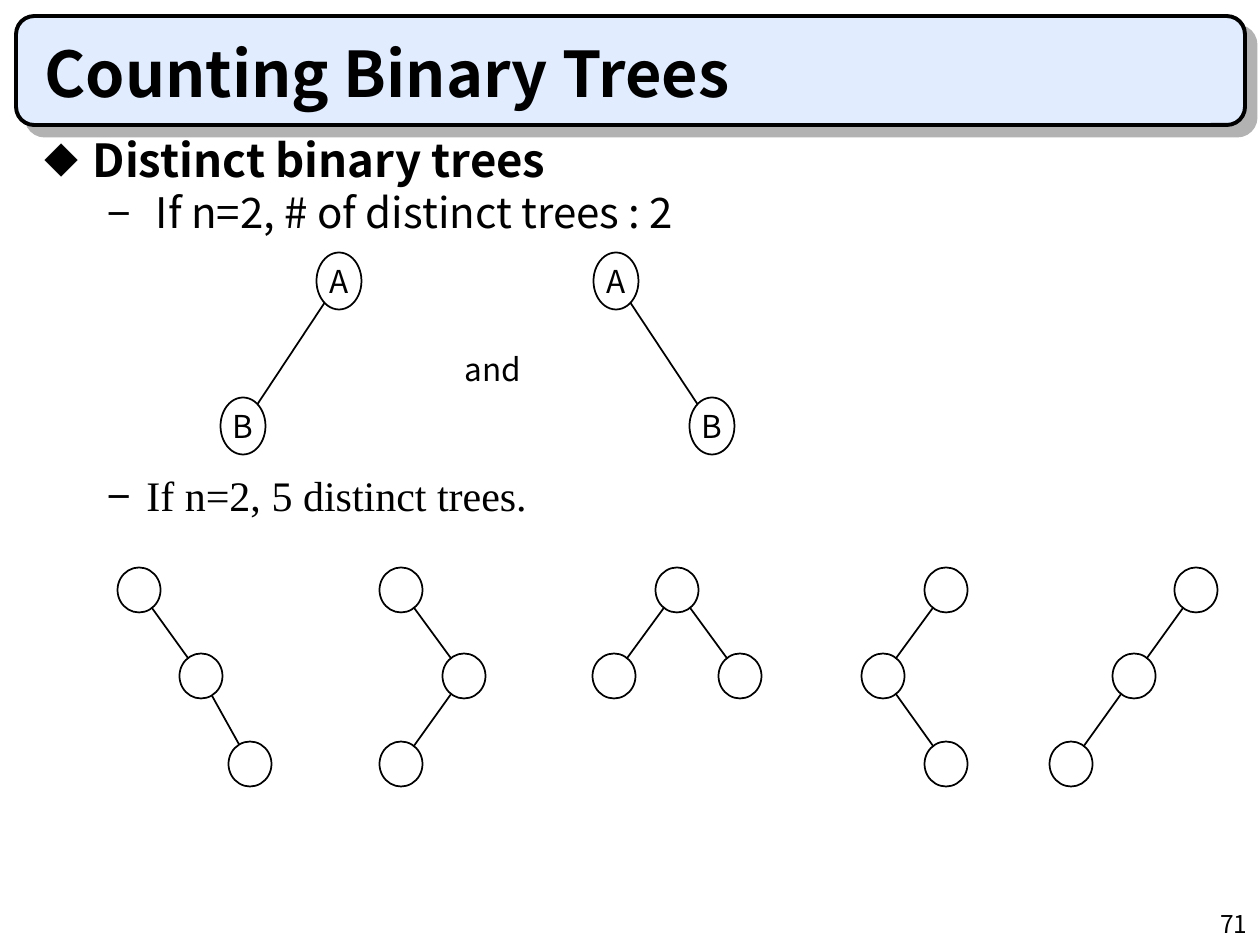
from dataclasses import dataclass
from math import hypot

from lxml.etree import SubElement
from pptx import Presentation
from pptx.dml.color import RGBColor
from pptx.enum.shapes import MSO_CONNECTOR as Connector, MSO_SHAPE as Shape
from pptx.enum.text import MSO_ANCHOR as Anchor, MSO_AUTO_SIZE as AutoSize, PP_ALIGN as Align
from pptx.oxml.ns import qn
from pptx.util import Emu, Pt

PX_PER_INCH = 126


@dataclass(frozen=True)
class Theme:
    """Colours, fonts and type sizes of the slide."""
    ink: str = "000000"
    banner: str = "E1ECFF"
    shadow: str = "B2B2B2"
    font: str = "Noto Sans CJK KR"
    serif: str = "Times New Roman"
    title: int = 36
    heading: int = 26
    item: int = 24
    label: int = 18
    number: int = 14
    thin: float = 1
    thick: float = 2.25


@dataclass(frozen=True)
class Bullet:
    """Character, indents in px and relative size of a list marker."""
    char: str
    margin: int
    hanging: int
    percent: int = 100


THEME = Theme()
DIAMOND = Bullet("◆", 48, 48, 75)
DASH = Bullet("−", 102, 39)

LABELLED_SIZE = (45, 57)
LABELLED_TREES = [
    [("A", 616, 281), ("B", 712, 426)],
    [("A", 339, 281), ("B", 243, 426)],
]
PLAIN_SIZE = (43, 45)
LEVELS = (590, 676, 764)
CHAINS = [(139, 201, 250), (401, 464, 401), (946, 883, 946), (1196, 1134, 1071)]
FORK = (677, (614, 740))


def px(length):
    """Turn px into EMU."""
    return Emu(round(length * 914400 / PX_PER_INCH))


def colour(value):
    """Turn a hex string into a colour."""
    return RGBColor.from_string(value)


def add_run(paragraph, text, size, font=THEME.font, bold=False):
    """Append a formatted run."""
    run = paragraph.add_run()
    run.text = text
    run.font.size, run.font.name, run.font.bold = Pt(size), font, bold
    run.font.color.rgb = colour(THEME.ink)


def style_outline(line, width):
    """Give a line its ink colour and width."""
    line.color.rgb = colour(THEME.ink)
    line.width = Pt(width)


def place(shape, left, top, width, height):
    """Move and resize a shape."""
    shape.left, shape.top, shape.width, shape.height = map(px, (left, top, width, height))


def add_bullet(paragraph, bullet, space_before=0):
    """Set a paragraph's marker, indents and spacing."""
    properties = paragraph._p.get_or_add_pPr()
    properties.set("marL", str(px(bullet.margin)))
    properties.set("indent", str(-px(bullet.hanging)))
    marker_colour = SubElement(properties, qn("a:buClr"))
    SubElement(marker_colour, qn("a:srgbClr"), val=THEME.ink)
    SubElement(properties, qn("a:buSzPct"), val=str(bullet.percent * 1000))
    SubElement(properties, qn("a:buFont"), typeface=THEME.font)
    SubElement(properties, qn("a:buChar"), char=bullet.char)
    paragraph.line_spacing = 0.8
    paragraph.space_before = Pt(space_before)


def add_text(shapes, box, wrap=True):
    """Add a text box and return its first paragraph."""
    frame = shapes.add_textbox(*map(px, box)).text_frame
    frame.word_wrap = wrap
    return frame.paragraphs[0]


def add_banner(slide):
    """Draw the rounded title panel with its hard shadow."""
    banner = slide.shapes.add_shape(Shape.ROUNDED_RECTANGLE, *map(px, (16, 16, 1229, 109)))
    banner.fill.solid()
    banner.fill.fore_color.rgb = colour(THEME.banner)
    style_outline(banner.line, THEME.thick)
    banner.shadow.inherit = False
    effects = banner._element.spPr.find(qn("a:effectLst"))
    shadow = SubElement(effects, qn("a:outerShdw"), dist=str(Pt(8.5)), dir="2700000",
                        algn="ctr", rotWithShape="0")
    SubElement(shadow, qn("a:srgbClr"), val=THEME.shadow)
    slide.shapes._spTree.insert(2, banner._element)


def fill_title(slide):
    """Format the title placeholder."""
    title = slide.shapes.title
    place(title, 32, 32, 1187, 84)
    title.text_frame.vertical_anchor = Anchor.BOTTOM
    title.text_frame.auto_size = AutoSize.NONE
    paragraph = title.text_frame.paragraphs[0]
    paragraph.alignment = Align.LEFT
    add_run(paragraph, "Counting Binary Trees", THEME.title, bold=True)


def fill_body(slide):
    """Format the body placeholder's list."""
    body = slide.placeholders[1]
    place(body, 32, 136, 1187, 735)
    frame = body.text_frame
    frame.auto_size = AutoSize.NONE
    heading = frame.paragraphs[0]
    add_bullet(heading, DIAMOND)
    add_run(heading, "Distinct binary trees", THEME.heading, bold=True)
    item = frame.add_paragraph()
    item.level = 1
    add_bullet(item, DASH, 6)
    add_run(item, " If n=2, # of distinct trees : 2", THEME.item)


def add_node(shapes, centre, size, label=""):
    """Draw an unfilled tree node around its centre."""
    (x, y), (width, height) = centre, size
    node = shapes.add_shape(Shape.OVAL, px(x - width / 2), px(y - height / 2),
                            px(width), px(height))
    node.fill.background()
    style_outline(node.line, THEME.thin)
    node.shadow.inherit = False
    if label:
        node.text_frame.word_wrap = False
        node.text_frame.vertical_anchor = Anchor.MIDDLE
        paragraph = node.text_frame.paragraphs[0]
        paragraph.alignment = Align.CENTER
        add_run(paragraph, label, THEME.label)


def add_edge(shapes, parent, child, size):
    """Join the rims of two nodes with a line."""
    dx, dy = child[0] - parent[0], child[1] - parent[1]
    reach = 1 / hypot(2 * dx / size[0], 2 * dy / size[1])
    ends = (parent[0] + dx * reach, parent[1] + dy * reach,
            child[0] - dx * reach, child[1] - dy * reach)
    edge = shapes.add_connector(Connector.STRAIGHT, *map(px, ends))
    style_outline(edge.line, THEME.thin)
    SubElement(edge._element.spPr, qn("a:effectLst"))


def add_chain(shapes, nodes, size):
    """Draw labelled nodes, each joined to the one before."""
    for label, x, y in nodes:
        add_node(shapes, (x, y), size, label)
    for parent, child in zip(nodes, nodes[1:]):
        add_edge(shapes, parent[1:], child[1:], size)


def add_labelled_trees(slide):
    """Draw the two labelled trees and the word between them."""
    shapes = slide.shapes.add_group_shape().shapes
    for nodes in LABELLED_TREES:
        add_chain(shapes, nodes, LABELLED_SIZE)
    add_run(add_text(shapes, (452, 344, 82, 50), wrap=False), "and", THEME.label)


def add_plain_trees(slide):
    """Draw the five unlabelled trees."""
    shapes = slide.shapes.add_group_shape().shapes
    for columns in CHAINS:
        add_chain(shapes, [("", x, y) for x, y in zip(columns, LEVELS)], PLAIN_SIZE)
    root_x, leaves = FORK
    root = (root_x, LEVELS[0])
    add_node(shapes, root, PLAIN_SIZE)
    for x in leaves:
        leaf = (x, LEVELS[1])
        add_node(shapes, leaf, PLAIN_SIZE)
        add_edge(shapes, root, leaf, PLAIN_SIZE)


def main():
    """Build and save the slide."""
    presentation = Presentation()
    presentation.slide_width, presentation.slide_height = px(1260), px(945)
    slide = presentation.slides.add_slide(presentation.slide_layouts[1])
    add_banner(slide)
    fill_title(slide)
    fill_body(slide)
    add_labelled_trees(slide)
    item = add_text(slide.shapes, (32, 473, 1197, 53))
    item.level = 1
    item.alignment = Align.JUSTIFY
    add_bullet(item, DASH)
    add_run(item, "If n=2, 5 distinct trees.", THEME.item, THEME.serif)
    add_plain_trees(slide)
    number = add_text(slide.shapes, (998, 903, 262, 42))
    number.alignment = Align.RIGHT
    add_run(number, "71", THEME.number)
    presentation.save("out.pptx")


if __name__ == "__main__":
    main()
